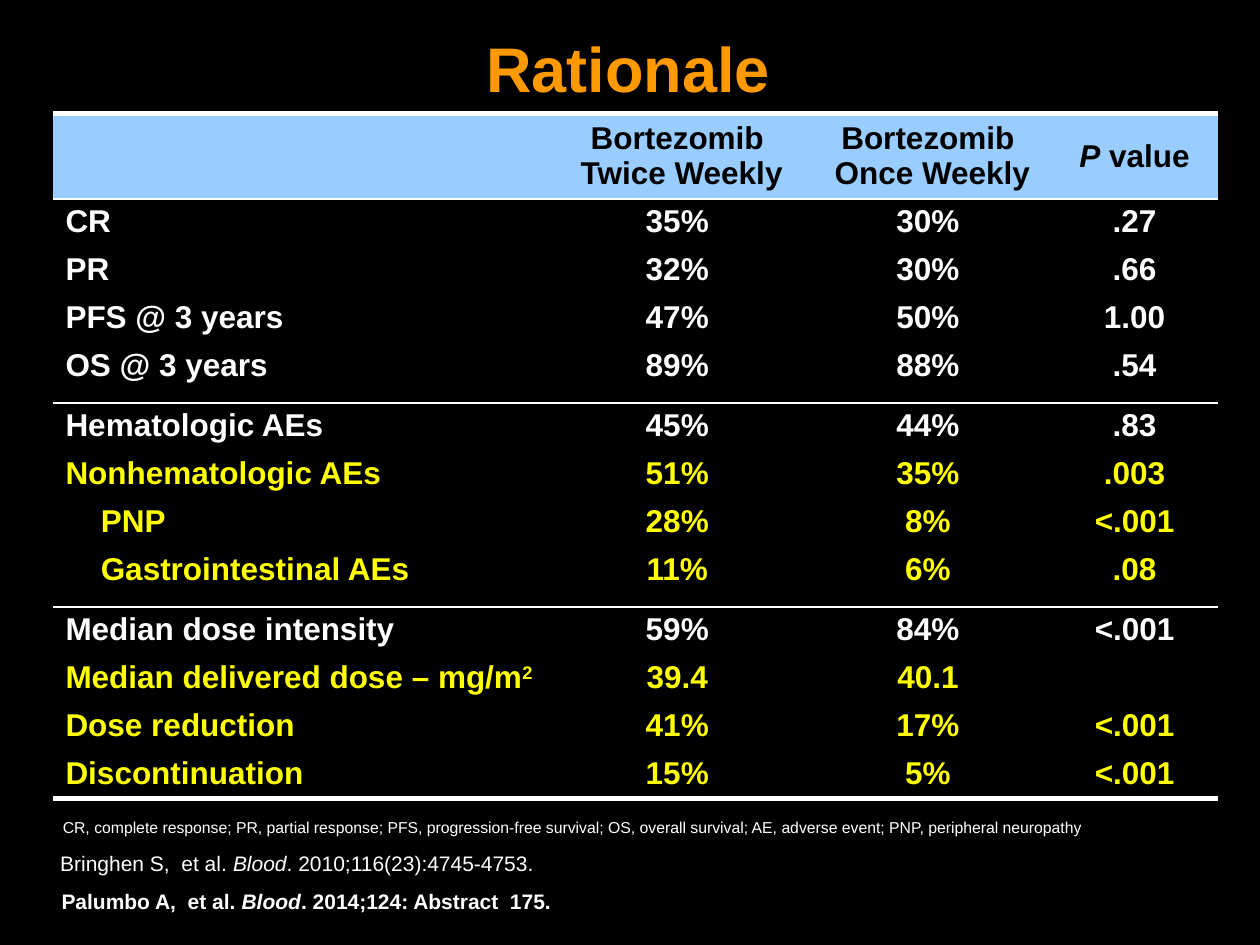
import pptx
import pptx.dml.color
import pptx.enum.text
import pptx.oxml.ns
import pptx.util
from dataclasses import dataclass
from lxml import etree

Inches = pptx.util.Inches
Pt = pptx.util.Pt
Align = pptx.enum.text.PP_ALIGN
Anchor = pptx.enum.text.MSO_ANCHOR
qn = pptx.oxml.ns.qn


@dataclass(frozen=True)
class Theme:
    font: str = "Arial"
    back: str = "000000"
    head: str = "99CCFF"
    title: str = "FF9900"
    white: str = "FFFFFF"
    dark: str = "000000"
    key: str = "FFFF00"
    big: int = 36
    body: int = 18
    cite: int = 12
    note: int = 9
    thin: int = 1
    thick: int = 3


T = Theme()
GRID = "{2D5ABB26-0587-4C30-8999-92F81FD0307C}"  # table style without lines
COLS = [3.94, 2.03, 1.95, 1.33]
HEAD_H, ROW_H, GAP_H = 0.67, 0.38, 0.1
INDENT = 0.28

# Each line of text is a list of (text, style) parts
HEADS = [
    [],
    [[("Bortezomib", "")], [(" Twice Weekly", "")]],
    [[("Bortezomib", "")], [(" Once Weekly", "")]],
    [[("P", "i"), (" value", "")]],
]

# Groups of rows: label, twice weekly, once weekly, P value, colour, level
GROUPS = [
    [("CR", "35%", "30%", ".27", T.white, 0),
     ("PR", "32%", "30%", ".66", T.white, 0),
     ("PFS @ 3 years", "47%", "50%", "1.00", T.white, 0),
     ("OS @ 3 years", "89%", "88%", ".54", T.white, 0)],
    [("Hematologic AEs", "45%", "44%", ".83", T.white, 0),
     ("Nonhematologic AEs", "51%", "35%", ".003", T.key, 0),
     ("PNP", "28%", "8%", "<.001", T.key, 1),
     ("Gastrointestinal AEs", "11%", "6%", ".08", T.key, 1)],
    [("Median dose intensity", "59%", "84%", "<.001", T.white, 0),
     ("Median delivered dose – mg/m^2", "39.4", "40.1", "", T.key, 0),
     ("Dose reduction", "41%", "17%", "<.001", T.key, 0),
     ("Discontinuation", "15%", "5%", "<.001", T.key, 0)],
]

# Left, top, width, height, size, bold, parts
NOTES = [
    (0.38, 6.7, 6.26, 0.3, T.cite, False,
     [("Bringhen S,  et al. ", ""), ("Blood", "i"),
      (". 2010;116(23):4745-4753.", "")]),
    (0.4, 6.44, 9.37, 0.25, T.note, False,
     [("CR, complete response; PR, partial response; PFS, progression-free "
       "survival; OS, overall survival; AE, adverse event; PNP, peripheral "
       "neuropathy", "")]),
    (0.39, 7, 6.26, 0.3, T.cite, True,
     [("Palumbo A,  et al. ", ""), ("Blood", "i"),
      (". 2014;124: Abstract  175.", "")]),
]


def rgb(code):
    return pptx.dml.color.RGBColor.from_string(code)


def write(frame, lines, size, color, bold=False, align=Align.LEFT):
    for n, parts in enumerate(lines):
        para = frame.add_paragraph() if n else frame.paragraphs[0]
        para.alignment = align
        font = para.font
        font.name, font.size, font.bold = T.font, Pt(size), bold
        font.color.rgb = rgb(color)
        for text, style in parts:
            run = para.add_run()
            run.text = text
            if style == "i":
                run.font.italic = True
            elif style == "sup":
                run.font._element.set("baseline", "30000")


def add_text(slide, at, lines, size, color, **kw):
    box = slide.shapes.add_textbox(*map(Inches, at))
    box.text_frame.word_wrap = True
    write(box.text_frame, lines, size, color, **kw)
    return box.text_frame


def edge(cell, top, bottom):
    """Draw the rules above and below a cell; a width of 0 means none."""
    props = cell._tc.get_or_add_tcPr()
    for tag, width in (("L", 0), ("R", 0), ("T", top), ("B", bottom)):
        line = etree.SubElement(props, qn("a:ln" + tag), w=str(Pt(width)))
        if width:
            fill = etree.SubElement(line, qn("a:solidFill"))
            etree.SubElement(fill, qn("a:srgbClr"), val=T.white)
        else:
            etree.SubElement(line, qn("a:noFill"))


def fill_cell(cell, lines, color, align, top=0, bottom=0, fill=None, level=0):
    cell.margin_left = Inches(0.1 + INDENT * level)
    cell.margin_right = Inches(0.1)
    cell.margin_top = cell.margin_bottom = Inches(0.04)
    edge(cell, top, bottom)
    if fill:
        cell.fill.solid()
        cell.fill.fore_color.rgb = rgb(fill)
        cell.vertical_anchor = Anchor.MIDDLE
    else:
        cell.fill.background()
    write(cell.text_frame, lines, T.body, color, True, align)


def fill_gap(row):
    row.height = Inches(GAP_H)
    for cell in row.cells:
        fill_cell(cell, [], T.white, Align.LEFT, bottom=T.thin)
        para = cell.text_frame.paragraphs[0]
        etree.SubElement(para._p, qn("a:endParaRPr"), sz="100")


def split(text):
    """Turn 'base^power' into a base part and a raised part."""
    base, _, power = text.partition("^")
    return [(base, "")] + ([(power, "sup")] if power else [])


def add_grid(slide):
    count = len(GROUPS) + sum(map(len, GROUPS))
    frame = slide.shapes.add_table(
        count, len(COLS), Inches(0.42), Inches(0.9),
        Inches(sum(COLS)), Inches(5.43))
    table = frame.table
    table.first_row = table.horz_banding = False
    table._tbl.tblPr.find(qn("a:tableStyleId")).text = GRID
    for col, width in zip(table.columns, COLS):
        col.width = Inches(width)
    rows = iter(table.rows)

    # Header
    row = next(rows)
    row.height = Inches(HEAD_H)
    for cell, lines in zip(row.cells, HEADS):
        fill_cell(cell, lines, T.dark, Align.CENTER, T.thick, T.thin, T.head)

    # Groups, with a thin ruled gap between them
    for g, group in enumerate(GROUPS):
        if g:
            fill_gap(next(rows))
        for n, (*texts, color, level) in enumerate(group):
            row = next(rows)
            row.height = Inches(ROW_H)
            last = g == len(GROUPS) - 1 and n == len(group) - 1
            for c, (cell, text) in enumerate(zip(row.cells, texts)):
                fill_cell(cell, [split(text)] if text else [], color,
                          Align.CENTER if c else Align.LEFT,
                          0 if n else T.thin, T.thick if last else 0,
                          level=0 if c else level)


def main():
    deck = pptx.Presentation()
    deck.slide_width, deck.slide_height = Inches(10), Inches(7.5)
    slide = deck.slides.add_slide(deck.slide_layouts[6])
    slide.background.fill.solid()
    slide.background.fill.fore_color.rgb = rgb(T.back)

    # Title
    frame = add_text(slide, (0.49, -0.03, 8.99, 1.12), [[("Rationale", "")]],
                     T.big, T.title, bold=True, align=Align.CENTER)
    frame.vertical_anchor = Anchor.MIDDLE

    # Results and notes
    add_grid(slide)
    for *at, size, bold, parts in NOTES:
        add_text(slide, at, [parts], size, T.white, bold=bold)
    deck.save("out.pptx")


if __name__ == "__main__":
    main()
